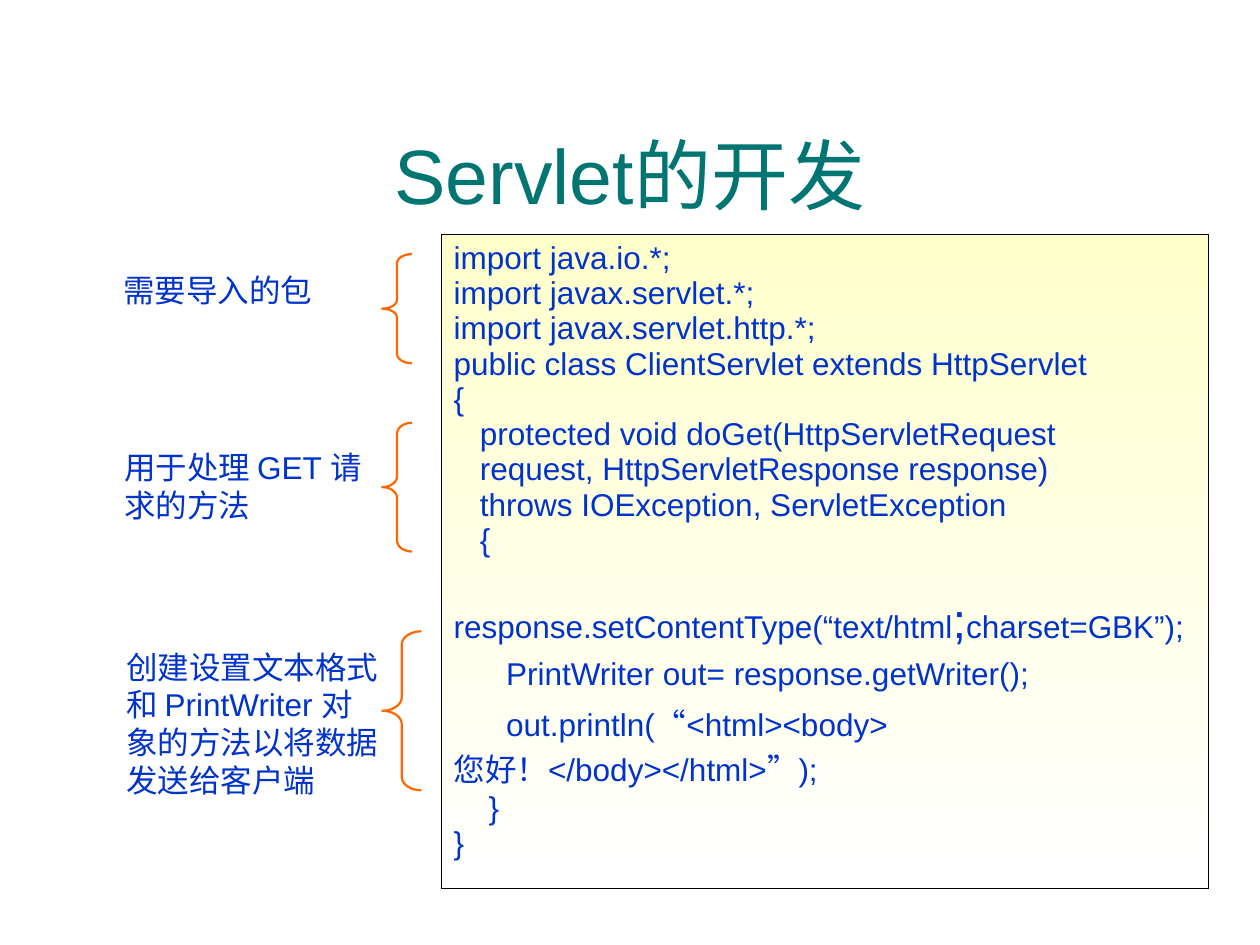
from lxml.etree import SubElement
from pptx import Presentation
from pptx.dml.color import RGBColor
from pptx.enum.shapes import MSO_SHAPE
from pptx.enum.text import MSO_ANCHOR, PP_ALIGN
from pptx.oxml import parse_xml
from pptx.oxml.ns import nsdecls, qn
from pptx.util import Pt

TEAL = RGBColor(0x00, 0x75, 0x72)
BLUE = RGBColor(0x00, 0x33, 0xCC)
ORANGE = RGBColor(0xFF, 0x66, 0x00)
CREAM = RGBColor(0xFF, 0xFF, 0xCC)
WHITE = RGBColor(0xFF, 0xFF, 0xFF)
BLACK = RGBColor(0x00, 0x00, 0x00)

HEADING = "Servlet的开发"
LEVEL = 15
CODE = [
    ("import java.io.*;", 0, 0),
    ("import javax.servlet.*;", 0, 0),
    ("import javax.servlet.http.*;", 0, 0),
    ("public class ClientServlet extends HttpServlet", 0, 0),
    ("{", 0, 0),
    ("protected void doGet(HttpServletRequest", LEVEL, 0),
    ("request, HttpServletResponse response)", LEVEL, 0),
    ("throws IOException, ServletException", LEVEL, 0),
    ("{", LEVEL, 0),
    ([("response.setContentType(“text/html", 18), (";", 28), ("charset=GBK”);", 18)], 0, 20.5),
    ("PrintWriter out= response.getWriter();", 2 * LEVEL, 4.5),
    ("out.println(“<html><body> 您好！</body></html>”);", 2 * LEVEL, 4.5),
    ("}", 20, 0),
    ("}", 0, 0),
]
CODE_BOX = (252, 134, 438.5, 373.5)
BRACE_LEFT = 218.4
NOTES = [
    ("需要导入的包", (63.4, 151.2, 143.3, 28.8), (145.2, 17, 62.4)),
    ("用于处理 GET 请求的方法", (63.8, 252.7, 154.8, 50.4), (241.6, 17, 73.6)),
    ("创建设置文本格式和 PrintWriter 对象的方法以将数据发送给客户端",
     (65, 366.5, 158.4, 93.6), (360.7, 22.4, 90.9)),
]


def points(values):
    return [Pt(value) for value in values]


def write(paragraph, text, size=18, color=BLUE, align=PP_ALIGN.LEFT, indent=0, before=0):
    paragraph.alignment = align
    paragraph.space_before = Pt(before)
    properties = paragraph._p.get_or_add_pPr()
    properties.set("marL", "0")
    properties.set("indent", str(Pt(indent)))
    pieces = [(text, size)] if isinstance(text, str) else text
    for words, points_high in pieces:
        run = paragraph.add_run()
        run.text = words
        run.font.name = "Arial"
        run.font.size = Pt(points_high)
        run.font.color.rgb = color


def add_code(slide):
    table = slide.shapes.add_table(1, 1, *points(CODE_BOX)).table
    table.first_row = table.horz_banding = False
    cell = table.cell(0, 0)
    cell.fill.gradient()
    cell.fill.gradient_angle = 270
    for stop, color in zip(cell.fill.gradient_stops, (CREAM, WHITE)):
        stop.color.rgb = color
    for position, side in enumerate("LRTB"):
        border = parse_xml(
            f'<a:ln{side} {nsdecls("a")} w="{Pt(0.45)}"><a:solidFill>'
            f'<a:srgbClr val="{BLACK}"/></a:solidFill></a:ln{side}>')
        cell._tc.get_or_add_tcPr().insert(position, border)
    frame = cell.text_frame
    for number, (line, indent, before) in enumerate(CODE):
        paragraph = frame.add_paragraph() if number else frame.paragraphs[0]
        write(paragraph, line, indent=indent, before=before)


def add_note(slide, text, box, brace_box):
    top, width, height = brace_box
    brace = slide.shapes.add_shape(
        MSO_SHAPE.LEFT_BRACE, *points((BRACE_LEFT, top, width, height)))
    brace.adjustments[0] = height / 12 / width
    brace.shadow.inherit = False
    brace.fill.background()
    brace.line.color.rgb = ORANGE
    brace.line.width = Pt(1.25)
    note = slide.shapes.add_textbox(*points(box))
    note.text_frame.word_wrap = True
    write(note.text_frame.paragraphs[0], text)


def main():
    deck = Presentation()
    deck.slide_width, deck.slide_height = Pt(720), Pt(540)
    slide = deck.slides.add_slide(deck.slide_layouts[5])
    title = slide.shapes.title
    title.left, title.top, title.width, title.height = points((23.8, 54, 672.5, 90))
    title.text_frame.vertical_anchor = MSO_ANCHOR.MIDDLE
    write(title.text_frame.paragraphs[0], HEADING, size=44, color=TEAL, align=PP_ALIGN.CENTER)
    add_code(slide)
    for note in NOTES:
        add_note(slide, *note)
    deck.save("out.pptx")


if __name__ == "__main__":
    main()
